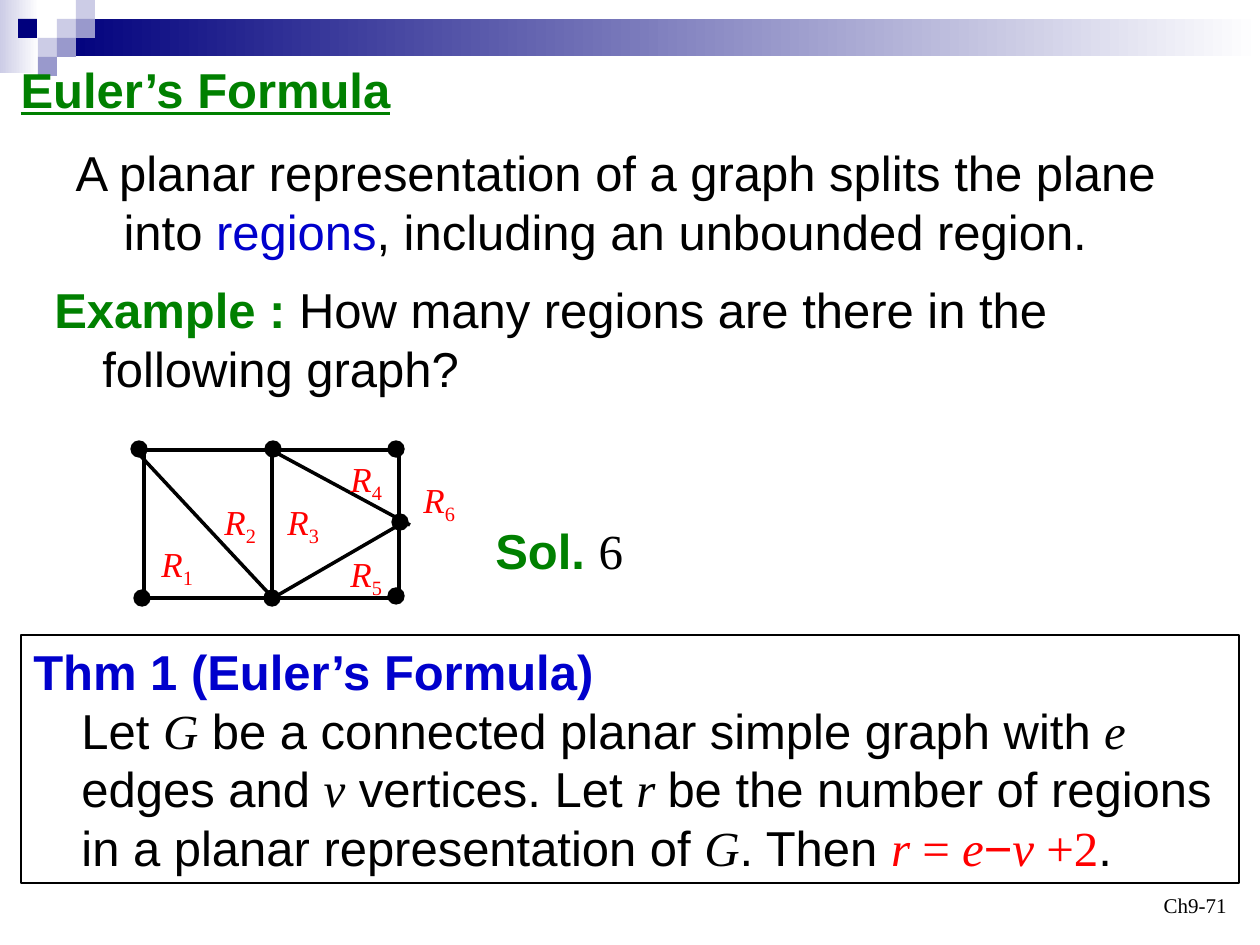
from pptx import Presentation
from pptx.dml.color import RGBColor
from pptx.enum.shapes import MSO_CONNECTOR, MSO_SHAPE
from pptx.enum.text import MSO_ANCHOR, MSO_AUTO_SIZE, PP_ALIGN
from pptx.oxml.ns import qn
from pptx.util import Pt
from lxml.etree import SubElement

PX = 914400 / 126  # EMU per px
BLACK = RGBColor(0x00, 0x00, 0x00)
WHITE = RGBColor(0xFF, 0xFF, 0xFF)
GREEN = RGBColor(0x00, 0x80, 0x00)
BLUE = RGBColor(0x00, 0x00, 0xCC)
RED = RGBColor(0xFF, 0x00, 0x00)
NAVY = RGBColor(0x00, 0x00, 0x7D)
LILAC = RGBColor(0xCC, 0xCC, 0xE6)
VIOLET = RGBColor(0x99, 0x99, 0xCC)

SANS, SERIF = "Arial", "Times New Roman"
MATH = dict(font=SERIF, italic=True)
HANGING = 48
TILE = 19
DOT = 16

TILES = [(57, 19, LILAC), (76, 0, LILAC), (76, 19, VIOLET), (38, 38, LILAC),
         (18, 19, NAVY), (57, 38, VIOLET), (38, 57, VIOLET)]
VERTICES = [(139, 449), (273, 449), (396, 449), (400, 522),
            (142, 598), (272, 598), (396, 596)]
EDGES = [(136, 450, 399, 450), (147, 598, 276, 598), (270, 598, 399, 598),
         (144, 451, 144, 602), (272, 451, 272, 595), (399, 451, 399, 602),
         (136, 451, 273, 598), (273, 451, 410, 525), (273, 598, 399, 525)]
REGIONS = [(149, 536), (212, 494), (275, 494), (338, 451), (338, 546), (411, 472)]


def emu(*lengths):
    return [round(length * PX) for length in lengths]


def add_text(paragraph, text, *, size=28, font=SANS, color=BLACK, bold=False,
             italic=False, underline=False, subscript=False):
    run = paragraph.add_run()
    run.text = text
    face = run.font
    face.size, face.name, face.color.rgb = Pt(size), font, color
    face.bold, face.italic, face.underline = bold, italic, underline
    if subscript:
        run._r.get_or_add_rPr().set("baseline", "-25000")


def format_box(box, place, wrap=True, anchor=MSO_ANCHOR.TOP, align=PP_ALIGN.LEFT, indent=0):
    """Place a text shape and return its bullet-free first paragraph."""
    box.left, box.top, box.width, box.height = emu(*place)
    frame = box.text_frame
    frame.auto_size = MSO_AUTO_SIZE.NONE
    frame.word_wrap, frame.vertical_anchor = wrap, anchor
    paragraph = frame.paragraphs[0]
    paragraph.alignment, paragraph.space_before = align, Pt(0)
    properties = paragraph._p.get_or_add_pPr()
    margin = emu(indent)[0]
    properties.set("marL", str(margin))
    properties.set("indent", str(-margin))
    SubElement(properties, qn("a:buNone"))
    return paragraph


def add_box(slide, *place, **layout):
    box = slide.shapes.add_textbox(*emu(*place))
    return box, format_box(box, place, **layout)


def add_solid(slide, kind, place, color):
    shape = slide.shapes.add_shape(kind, *emu(*place))
    shape.shadow.inherit = False
    shape.fill.solid()
    shape.fill.fore_color.rgb = color
    shape.line.fill.background()
    return shape


def add_fade(slide, place, color):
    band = add_solid(slide, MSO_SHAPE.RECTANGLE, place, color)
    band.fill.gradient()
    band.fill.gradient_angle = 0
    for stop, position, shade in zip(band.fill.gradient_stops, (0, 1), (color, WHITE)):
        stop.position, stop.color.rgb = position, shade


def add_edge(slide, ends):
    edge = slide.shapes.add_connector(MSO_CONNECTOR.STRAIGHT, *emu(*ends))
    edge.line.color.rgb, edge.line.width = BLACK, Pt(2)
    SubElement(edge._element.spPr, qn("a:effectLst"))


def add_vertex(slide, x, y):
    place = (x - DOT / 2, y - DOT / 2, DOT, DOT)
    dot = add_solid(slide, MSO_SHAPE.FLOWCHART_CONNECTOR, place, BLACK)
    dot.line.color.rgb, dot.line.width = BLACK, Pt(0.75)


def add_region(slide, number, x, y):
    _, label = add_box(slide, x, y, 57, 60, wrap=False)
    add_text(label, "R", size=20, color=RED, **MATH)
    add_text(label, str(number), size=20, font=SERIF, color=RED, subscript=True)


def add_banner(slide):
    add_fade(slide, (0, 0, 39, 73), LILAC)
    add_fade(slide, (57, 19, 1203, 37), NAVY)
    for x, y, color in TILES:
        add_solid(slide, MSO_SHAPE.RECTANGLE, (x, y, TILE, TILE), color)


def add_graph(slide):
    for ends in EDGES:
        add_edge(slide, ends)
    for center in VERTICES:
        add_vertex(slide, *center)
    for number, corner in enumerate(REGIONS, 1):
        add_region(slide, number, *corner)


def add_theorem(slide):
    box, theorem = add_box(slide, 21, 635, 1218, 248, indent=HANGING)
    box.line.color.rgb, box.line.width = BLACK, Pt(0.75)
    add_text(theorem, "Thm 1 (Euler’s Formula)", color=BLUE, bold=True)
    theorem.add_line_break()
    # Plain words alternate with the symbol that follows them
    for words, symbol in [("Let ", "G"),
                          (" be a connected planar simple graph with ", "e "),
                          ("edges and ", "v"), (" vertices. Let ", "r "),
                          ("be the number of regions in a planar representation of ", "G")]:
        add_text(theorem, words)
        add_text(theorem, symbol, **MATH)
    add_text(theorem, ". Then ")
    add_text(theorem, "r ", color=RED, **MATH)
    add_text(theorem, "= ", color=RED, font=SERIF)
    add_text(theorem, "e", color=RED, **MATH)
    add_text(theorem, "−", color=RED)
    add_text(theorem, "v ", color=RED, **MATH)
    add_text(theorem, "+2", color=RED, font=SERIF)
    add_text(theorem, ".")


def main():
    deck = Presentation()
    deck.slide_width, deck.slide_height = emu(1260, 945)
    slide = deck.slides.add_slide(deck.slide_layouts[1])
    title, body = slide.placeholders

    add_banner(slide)
    # The heading overlaps the banner tiles, so it goes in front of them
    slide.shapes._spTree.append(title._element)

    # Title and definition
    heading = format_box(title, (8, 53, 489, 72), wrap=False, indent=HANGING)
    add_text(heading, "Euler’s Formula", color=GREEN, bold=True, underline=True)
    definition = format_box(body, (63, 136, 1166, 131), indent=HANGING)
    add_text(definition, "A planar representation of a graph splits the plane into ")
    add_text(definition, "regions", color=BLUE)
    add_text(definition, ", including an unbounded region.")

    # Example with its graph and solution
    _, example = add_box(slide, 42, 273, 1144, 131, indent=HANGING)
    add_text(example, "Example : ", color=GREEN, bold=True)
    add_text(example, "How many regions are there in the following graph?")
    add_graph(slide)
    _, solution = add_box(slide, 483, 514, 199, 72)
    add_text(solution, "Sol. ", color=GREEN, bold=True)
    add_text(solution, "6", font=SERIF)

    add_theorem(slide)

    # Page number
    _, page = add_box(slide, 945, 861, 294, 63, anchor=MSO_ANCHOR.BOTTOM, align=PP_ALIGN.RIGHT)
    add_text(page, "Ch9-71", size=12, font=SERIF)
    deck.save("out.pptx")


if __name__ == "__main__":
    main()
